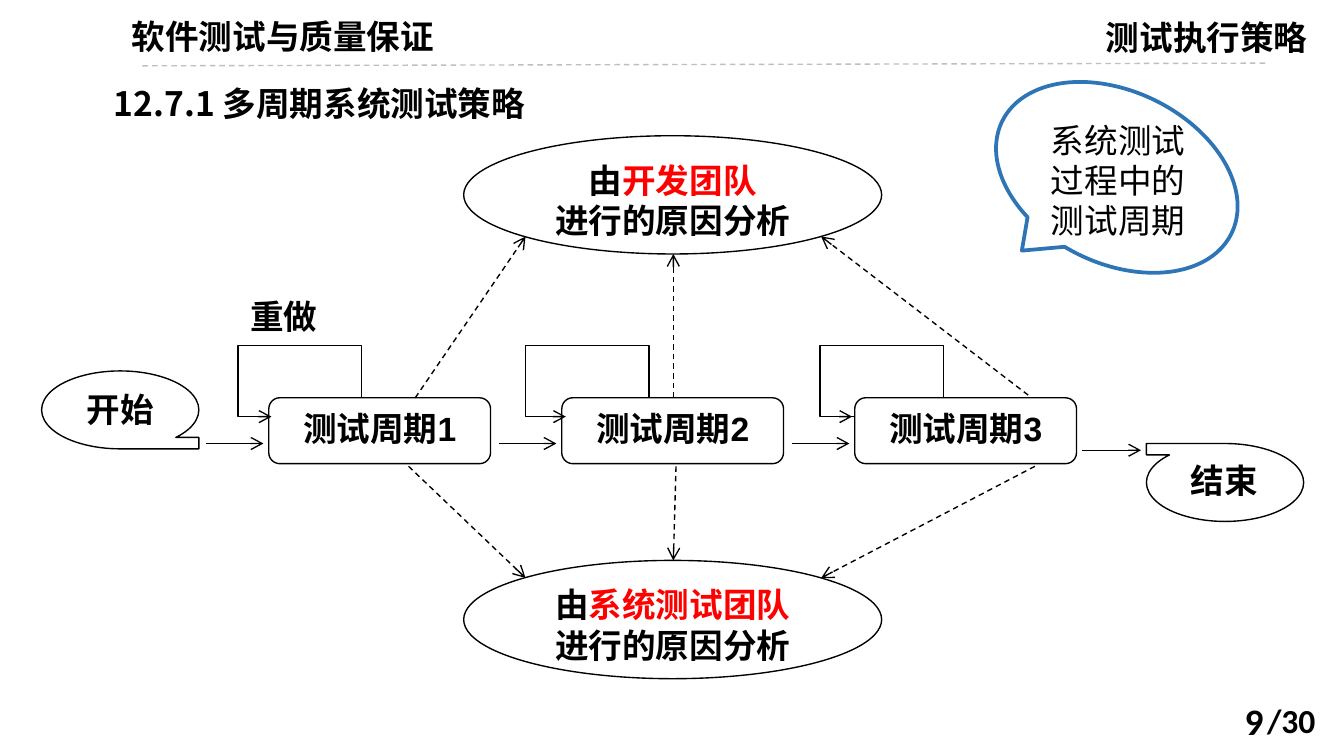
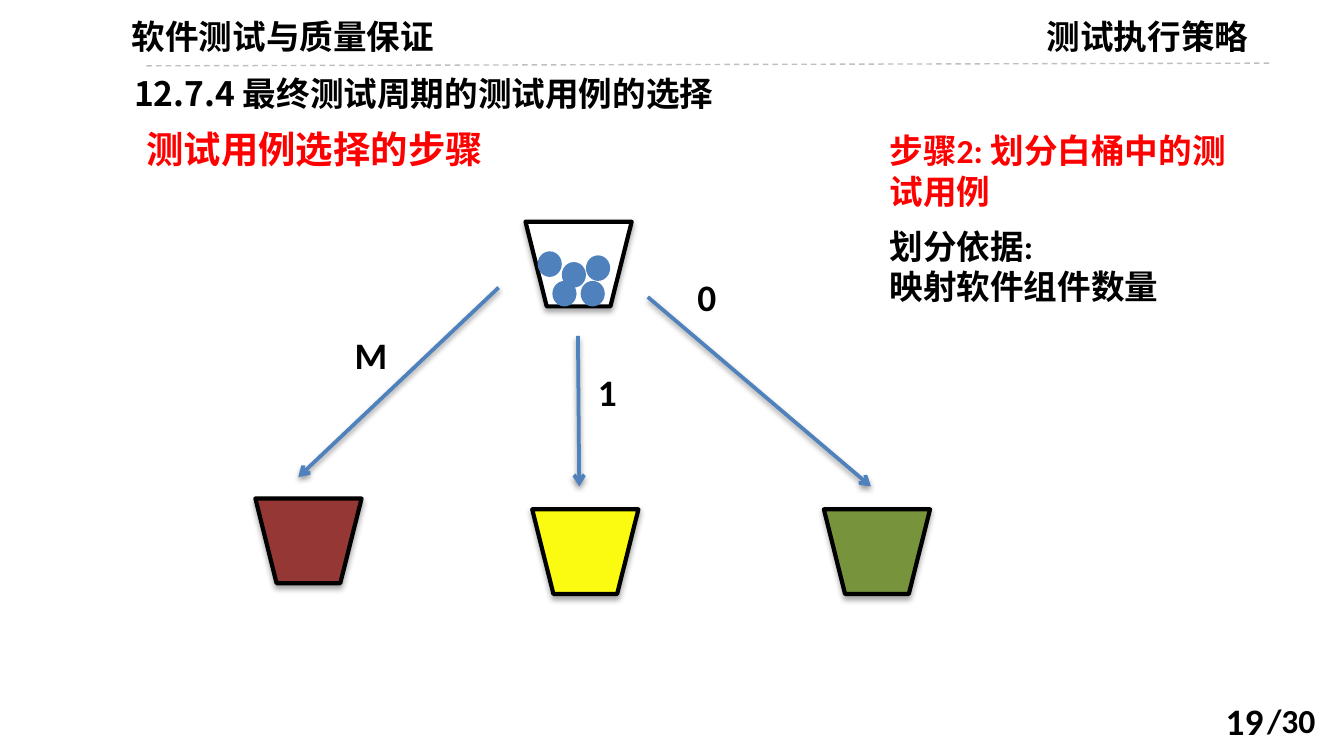
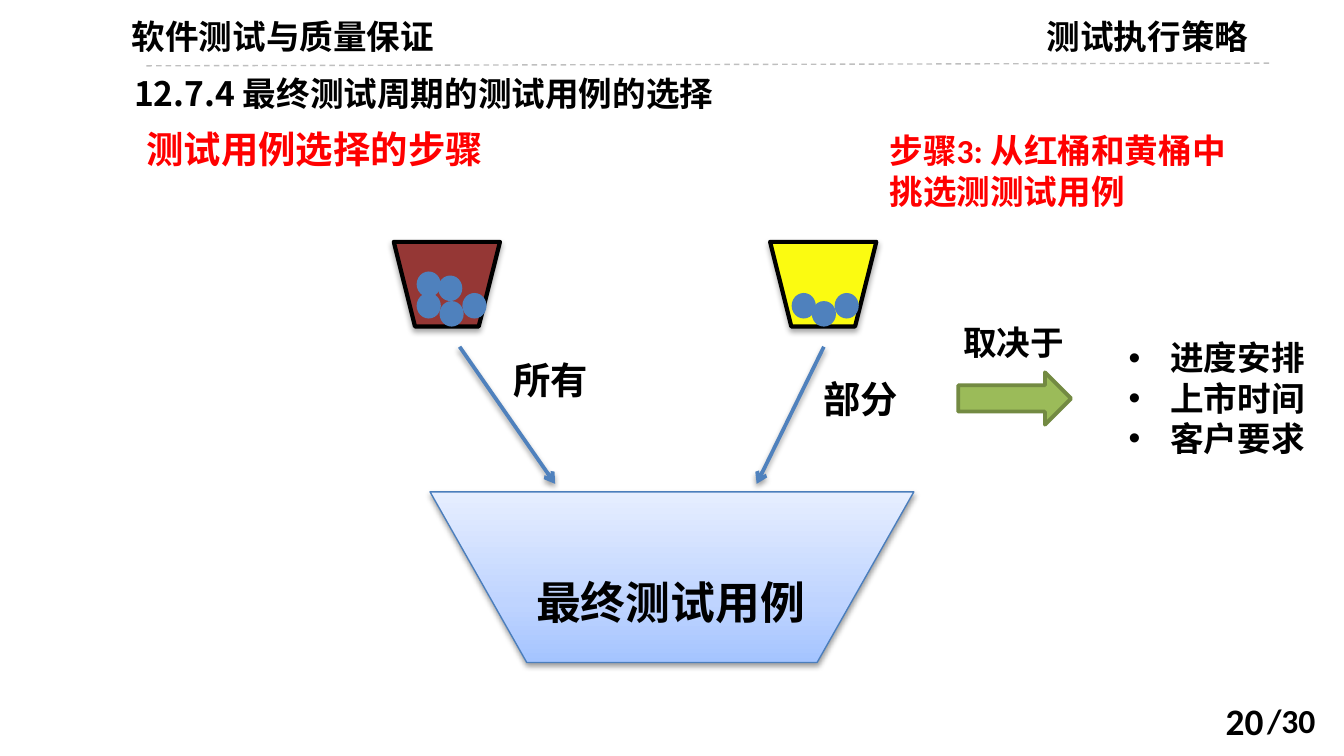
from copy import deepcopy
from lxml.etree import SubElement
from pptx import Presentation
from pptx.dml.color import RGBColor
from pptx.enum.dml import MSO_LINE as Dash
from pptx.enum.shapes import MSO_CONNECTOR as Conn, MSO_SHAPE as Form
from pptx.enum.text import MSO_ANCHOR as Anchor, PP_ALIGN as Align
from pptx.oxml.ns import qn
from pptx.util import Inches, Pt

# Shared colours, fonts and shadows (opacity %, distance in points)
rgb = RGBColor.from_string
BLACK, WHITE, RED = "000000", "FFFFFF", "FF0000"
BLUE, MAROON, YELLOW, OLIVE = "4F81BD", "953735", "FBFB11", "77933C"
CJK = "Noto Sans CJK SC"
DEEP, SOFT = (35, 1.8), (38, 1.6)


def ink(item, color=BLACK, width=0.75, dash=False, tail=False, shade=None):
    """Style the outline of a shape or the stroke of a connector."""
    item.line.color.rgb = rgb(color)
    item.line.width = Pt(width)
    if dash:
        item.line.dash_style = Dash.DASH
    props = item._element.spPr
    if tail:
        SubElement(props.find(qn("a:ln")), qn("a:tailEnd"), type="arrow")
    glow = props.find(qn("a:effectLst"))
    if glow is None:
        glow = SubElement(props, qn("a:effectLst"))
    if shade:
        cast = SubElement(glow, qn("a:outerShdw"), blurRad=str(Pt(3.1)),
                          dist=str(Pt(shade[1])), dir="5400000", rotWithShape="0")
        tint = SubElement(cast, qn("a:srgbClr"), val=BLACK)
        SubElement(tint, qn("a:alpha"), val=str(shade[0] * 1000))


def put(slide, form, box, lines=(), size=18, color=BLACK, font="Calibri",
        bold=True, align=Align.LEFT, fill=None):
    """Add a shape, or a text box if form is None; a line is a list of (text, colour)."""
    box = [Inches(n) for n in box]
    if form is None:
        item = slide.shapes.add_textbox(*box)
    else:
        item = slide.shapes.add_shape(form, *box)
        item.shadow.inherit = False
        item.line.fill.background()
        if fill:
            item.fill.solid()
            item.fill.fore_color.rgb = rgb(fill)
        else:
            item.fill.background()
    frame = item.text_frame
    frame.word_wrap = True
    frame.vertical_anchor = Anchor.TOP
    for i, line in enumerate(lines):
        para = frame.add_paragraph() if i else frame.paragraphs[0]
        para.alignment = align
        para.font.size, para.font.bold, para.font.name = Pt(size), bold, font
        para.font.color.rgb = rgb(color)
        base = para._p.pPr.find(qn("a:defRPr"))
        SubElement(base, qn("a:ea"), typeface=CJK)
        for text, hue in [(line, None)] if isinstance(line, str) else line:
            run = para.add_run()
            run.text = text
            if hue:
                run.font.color.rgb = rgb(hue)
    return item


deck = Presentation()
deck.slide_width, deck.slide_height = Inches(10), Inches(5.625)

# Header, section title and page number of every slide
CASES = "12.7.4 最终测试周期的测试用例的选择"
pages = [("9", "12.7.1 多周期系统测试策略", (0.75, 0.57), (8.13, 0.08), 1.06),
         ("19", CASES, (0.9, 0.49), (7.69, 0.07), 1.09),
         ("20", CASES, (0.9, 0.49), (7.69, 0.07), 1.09)]
slides = []
for page, title, spot, topic, left in pages:
    slide = deck.slides.add_slide(deck.slide_layouts[6])
    slides.append(slide)
    put(slide, None, (9.33, 5.16, 0.66, 0.4), ["/30"])
    put(slide, None, (0.62, 0.07, 2.97, 0.4), ["软件测试与质量保证"],
        font=CJK, align=Align.CENTER)
    rule = [Inches(n) for n in (left, 0.49, left + 8.38, 0.47)]
    ink(slide.shapes.add_connector(Conn.STRAIGHT, *rule), "BFBFBF", dash=True)
    put(slide, None, (*topic, 1.81, 0.4), ["测试执行策略"])
    put(slide, None, (*spot, 6, 0.4), [title], font=CJK)
    number = put(slide, None, (7.17, 5.21, 2.33, 0.3), [page], 20, align=Align.RIGHT)
    number.text_frame.vertical_anchor = Anchor.MIDDLE

# Slide 1: test cycles with their rework loops
cycle, split, final = slides
label = dict(font="Arial", align=Align.CENTER)
arrows = []
for i, (loop, back) in enumerate([(1.77, 1.78), (3.91, 3.97), (6.1, 6.1)]):
    left = 2 + 2.18 * i
    ink(put(cycle, Form.RECTANGLE, (loop, 2.57, 0.92, 0.53)))
    ink(put(cycle, Form.ROUNDED_RECTANGLE, (left, 2.96, 1.65, 0.49),
            [f"测试周期{i + 1}"], fill=WHITE, **label))
    arrows += [(back, 3.1, back + 0.24, 3.1, False),
               (left - 0.47, 3.3, left - 0.04, 3.3, False)]
arrows.append((8.05, 3.35, 8.49, 3.35, False))
put(cycle, None, (1.72, 2.15, 0.78, 0.45), ["重做"], **label)

# Start and end
ink(put(cycle, Form.FLOWCHART_SEQUENTIAL_ACCESS_STORAGE, (0.31, 2.76, 1.17, 0.58),
        ["开始"], **label))
end = put(cycle, Form.FLOWCHART_SEQUENTIAL_ACCESS_STORAGE, (8.53, 3.3, 1.17, 0.58))
end.rotation = 180
ink(end)
put(cycle, None, (8.72, 3.37, 0.78, 0.45), ["结束"], **label)

# Cause analysis by the two teams
for top, team in [(1.01, "开发团队"), (4.17, "系统测试团队")]:
    ink(put(cycle, Form.OVAL, (3.45, top, 3.11, 0.88),
            [[("由", None), (team, RED)], "进行的原因分析"], **label))
arrows += [(3.09, 2.96, 3.91, 1.76, True), (5.01, 2.96, 5.01, 1.89, True),
           (7.65, 2.94, 6.11, 1.76, True), (3.04, 3.47, 3.91, 4.3, True),
           (5.03, 3.47, 5.01, 4.17, True), (7.7, 3.47, 6.11, 4.3, True)]
for *ends, dash in arrows:
    ends = [Inches(n) for n in ends]
    ink(cycle.shapes.add_connector(Conn.STRAIGHT, *ends), dash=dash, tail=True)

# Speech bubble
bubble = put(cycle, Form.OVAL_CALLOUT, (7.36, 0.68, 1.9, 1.28), fill=WHITE)
bubble.rotation = 26
ink(bubble, "2E75B6", 2)
put(cycle, None, (7.72, 0.84, 1.22, 1.01), ["系统测试过程中的测试周期"], bold=False)

# Slides 2 and 3: step, buckets, balls, arrows and labels
steps = [
    (split, "步骤2: 划分白桶中的测试用例",
     [(3.96, 3.79, YELLOW), (1.9, 3.71, MAROON), (6.13, 3.79, OLIVE), (3.91, 1.65, WHITE)],
     [(4, 1.87), (4.18, 1.95), (4.36, 1.9), (4.32, 2.09), (4.11, 2.09)],
     [(3.71, 2.14, 2.22, 3.55), (4.3, 2.5, 4.31, 3.62), (4.82, 2.21, 6.48, 3.62)],
     [("M", 2.54, 2.42), ("1", 4.35, 2.7), ("0", 5.09, 1.99)]),
    (final, "步骤3: 从红桶和黄桶中挑选测测试用例",
     [(5.73, 1.8, YELLOW), (2.93, 1.8, MAROON)],
     [(3.27, 2.24), (3.1, 2.18), (3.44, 2.18), (3.1, 2.02), (3.26, 2.05),
      (5.89, 2.18), (6.04, 2.24), (6.21, 2.18)],
     [(3.42, 2.58, 4.13, 3.6), (6.13, 2.58, 5.63, 3.6)],
     [("所有", 3.72, 2.61), ("部分", 6.03, 2.75)]),
]
for slide, step, pails, balls, paths, tags in steps:
    put(slide, None, (0.99, 0.89, 3.01, 0.44), ["测试用例选择的步骤"], 20, RED)
    put(slide, None, (6.52, 0.92, 2.8, 0.71), [step], color=RED)
    for left, top, hue in pails:
        ink(put(slide, Form.FLOWCHART_MANUAL_OPERATION, (left, top, 0.79, 0.63),
                fill=hue), width=2.25, shade=DEEP)
    for left, top in balls:
        put(slide, Form.OVAL, (left, top, 0.18, 0.19), fill=BLUE)
    for ends in paths:
        ends = [Inches(n) for n in ends]
        ink(slide.shapes.add_connector(Conn.STRAIGHT, *ends), BLUE, 2,
            tail=True, shade=SOFT)
    for text, left, top in tags:
        put(slide, None, (left, top, 0.8, 0.44), [text], 20)

# Slide 2: basis of the split
put(split, None, (6.52, 1.63, 2.45, 0.71), ["划分依据:", "映射软件组件数量"])

# Slide 3: tub of final test cases
tub = put(final, Form.FLOWCHART_MANUAL_OPERATION, (3.2, 3.66, 3.6, 1.27))
tub.fill.gradient()
tub.fill.gradient_angle = 90
stops = tub._element.spPr.find(".//" + qn("a:gsLst"))
stops.insert(1, deepcopy(stops[0]))
shades = [(0, "A4C4FF"), (0.35, "BFD4FF"), (1, "E6EEFF")]
for stop, (place, hue) in zip(tub.fill.gradient_stops, shades):
    stop.position, stop.color.rgb = place, rgb(hue)
ink(tub, "4B7EBC", shade=SOFT)
put(final, None, (3.89, 4.23, 2.56, 0.5), ["最终测试用例"], 24)

# Slide 3: what the choice depends on
ink(put(final, Form.RIGHT_ARROW, (7.13, 2.77, 0.84, 0.39), fill="9BBB59"), "738A42", 2)
put(final, None, (7.07, 2.35, 1, 0.4), ["取决于"])
needs = put(final, None, (8.3, 2.46, 1.65, 1.01), ["进度安排", "上市时间", "客户要求"])
for para in needs.text_frame.paragraphs:
    props = para._p.pPr
    props.set("marL", str(Inches(0.31)))
    props.set("indent", str(Inches(-0.31)))
    mark = SubElement(props, qn("a:buChar"), char="•")
    props.insert(0, mark)
    face = SubElement(props, qn("a:buFont"), typeface="Arial")
    props.insert(0, face)

deck.save("out.pptx")
